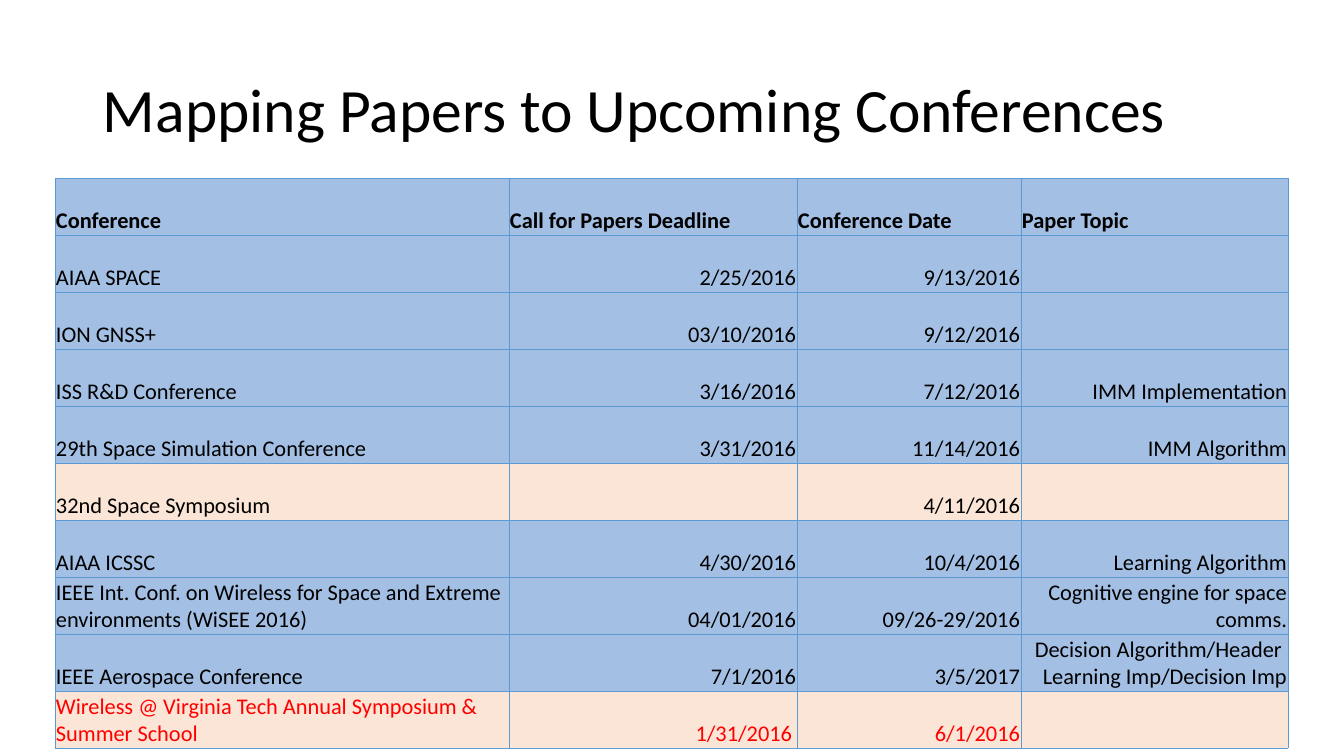
from pptx import Presentation
from pptx.dml.color import RGBColor
from pptx.enum.text import MSO_ANCHOR, PP_ALIGN
from pptx.oxml import parse_xml
from pptx.oxml.ns import nsdecls
from pptx.util import Emu, Pt

MIDDLE, BOTTOM = MSO_ANCHOR.MIDDLE, MSO_ANCHOR.BOTTOM
LEFT, RIGHT = PP_ALIGN.LEFT, PP_ALIGN.RIGHT

FONT = "Calibri"
BLACK, RED = "000000", "FF0000"
BLUE, PEACH, BORDER = "A3C0E4", "FBE5D6", "5B9BD5"
BORDER_WIDTH = Pt(0.5)

COLUMN_WIDTHS = [454, 288, 224, 267]
ROW_HEIGHT = 57
HEADER = ("Conference", "Call for Papers Deadline", "Conference Date", "Paper Topic")
CONFERENCES = [
    ("AIAA SPACE", "2/25/2016", "9/13/2016", ""),
    ("ION GNSS+", "03/10/2016", "9/12/2016", ""),
    ("ISS R&D Conference", "3/16/2016", "7/12/2016", "IMM Implementation"),
    ("29th Space Simulation Conference", "3/31/2016", "11/14/2016", "IMM Algorithm"),
    ("32nd Space Symposium", "", "4/11/2016", ""),
    ("AIAA ICSSC", "4/30/2016", "10/4/2016", "Learning Algorithm"),
    ("IEEE Int. Conf. on Wireless for Space and Extreme environments (WiSEE 2016)",
     "04/01/2016", "09/26-29/2016", "Cognitive engine for space comms."),
    ("IEEE Aerospace Conference", "7/1/2016", "3/5/2017",
     "Decision Algorithm/Header \nLearning Imp/Decision Imp"),
    ("Wireless @ Virginia Tech Annual Symposium & Summer School",
     "1/31/2016", "6/1/2016", ""),
]
# Row numbers in the table, the header being row 0
PEACH_ROWS = {5, 9}
RED_ROW = 9


def px(length):
    return Emu(round(length * 914400 / 100.8))


def rgb(value):
    return RGBColor.from_string(value)


def style_text(frame, size, color, align=LEFT, bold=False):
    for paragraph in frame.paragraphs:
        paragraph.alignment = align
        paragraph.font.name = FONT
        paragraph.font.size = Pt(size)
        paragraph.font.bold = bold
        paragraph.font.color.rgb = rgb(color)


def add_title(slide, text, left, top, width, height):
    frame = slide.shapes.add_textbox(px(left), px(top), px(width), px(height)).text_frame
    frame.word_wrap = True
    frame.vertical_anchor = MIDDLE
    frame.text = text
    frame.paragraphs[0].line_spacing = 0.9
    style_text(frame, 44, BLACK)


def add_borders(cell):
    properties = cell._tc.get_or_add_tcPr()
    for position, side in enumerate(("lnL", "lnR", "lnT", "lnB")):
        properties.insert(position, parse_xml(
            f'<a:{side} {nsdecls("a")} w="{BORDER_WIDTH}"><a:solidFill>'
            f'<a:srgbClr val="{BORDER}"/></a:solidFill></a:{side}>'))


def fill_cell(cell, text, fill, color, align, bold):
    cell.text = text
    cell.vertical_anchor = BOTTOM
    cell.margin_left = cell.margin_right = cell.margin_top = px(1)
    cell.margin_bottom = 0
    cell.fill.solid()
    cell.fill.fore_color.rgb = rgb(fill)
    add_borders(cell)
    style_text(cell.text_frame, 16, color, align, bold)


def add_conference_table(slide, left, top):
    rows = [HEADER, *CONFERENCES]
    table = slide.shapes.add_table(
        len(rows), len(HEADER), px(left), px(top),
        px(sum(COLUMN_WIDTHS)), px(ROW_HEIGHT * len(rows))).table
    table.horz_banding = False
    for column, width in zip(table.columns, COLUMN_WIDTHS):
        column.width = px(width)
    for r, texts in enumerate(rows):
        table.rows[r].height = px(ROW_HEIGHT)
        fill = PEACH if r in PEACH_ROWS else BLUE
        color = RED if r == RED_ROW else BLACK
        for c, text in enumerate(texts):
            align = RIGHT if r and c else LEFT
            fill_cell(table.cell(r, c), text, fill, color, align, bold=r == 0)
    # The red deadline stands slightly in from the column edge
    table.cell(RED_ROW, 1).margin_right = px(5)


def main():
    deck = Presentation()
    deck.slide_width, deck.slide_height = px(1344), px(756)
    slide = deck.slides.add_slide(deck.slide_layouts[6])

    # Title
    add_title(slide, "Mapping Papers to Upcoming Conferences", 93, 40, 1159, 146)
    # Conferences with their dates and topics
    add_conference_table(slide, 55, 178)

    deck.save("out.pptx")


if __name__ == "__main__":
    main()
